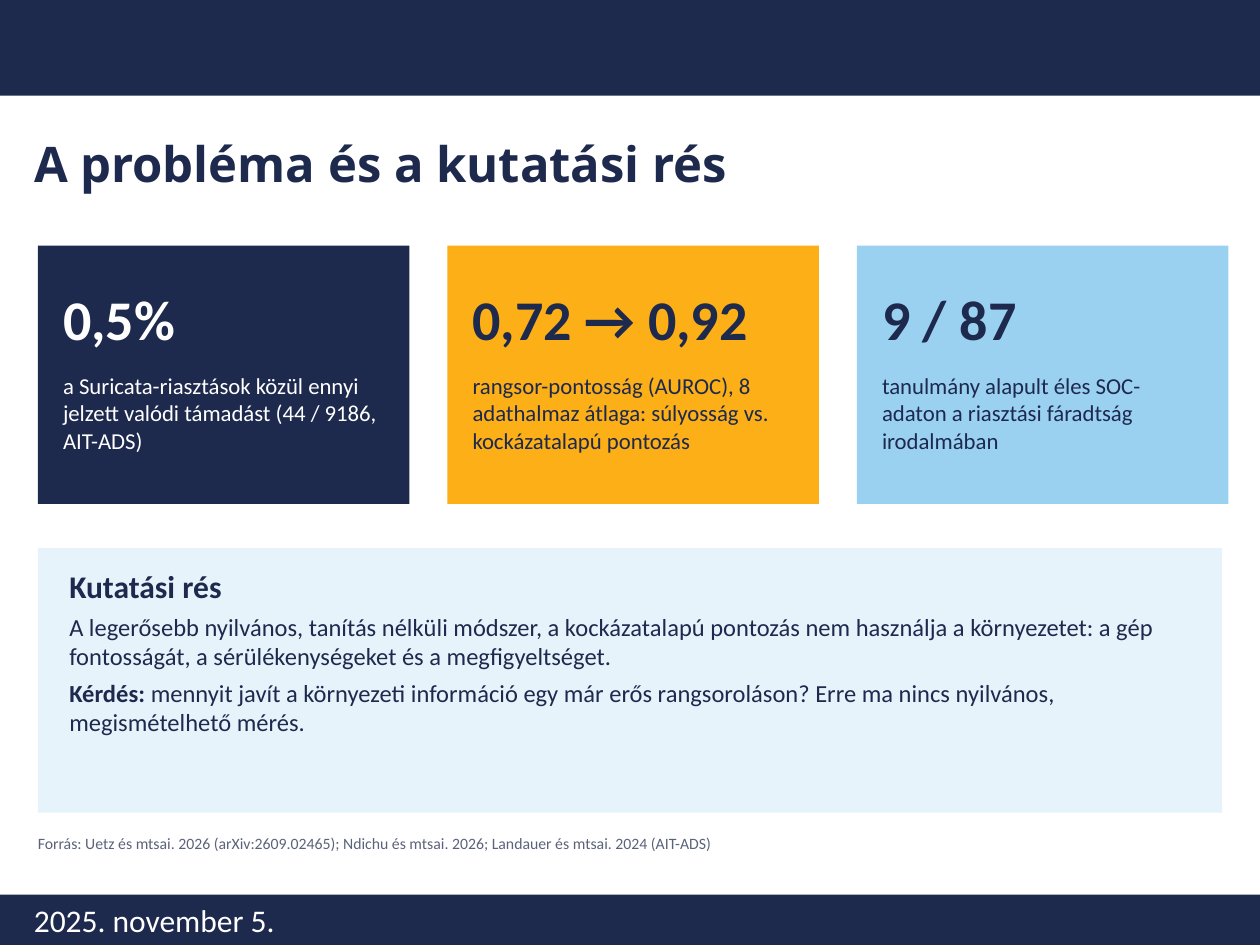
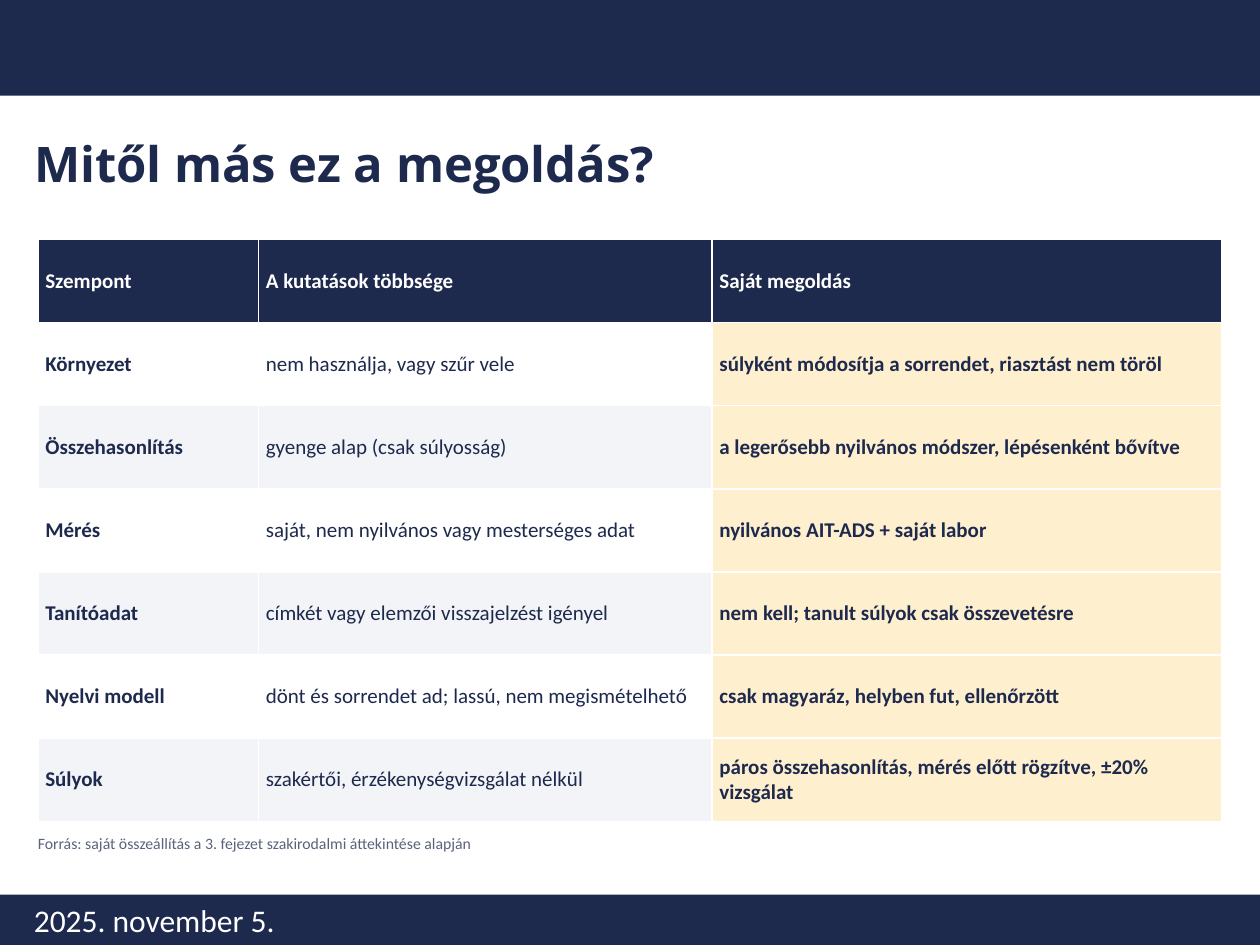
import pptx
import pptx.dml.color
import pptx.enum.shapes
import pptx.enum.text
import pptx.util

Inches = pptx.util.Inches
RGBColor = pptx.dml.color.RGBColor
ANCHOR = pptx.enum.text.MSO_ANCHOR

NAVY = RGBColor(0x1D, 0x29, 0x4D)
AMBER = RGBColor(0xFC, 0xAF, 0x17)
SKY = RGBColor(0x9A, 0xD1, 0xF0)
PALE_BLUE = RGBColor(0xE6, 0xF3, 0xFB)
PALE_AMBER = RGBColor(0xFE, 0xEF, 0xCF)
PALE_GREY = RGBColor(0xF3, 0xF4, 0xF7)
GREY = RGBColor(0x5A, 0x63, 0x7A)
WHITE = RGBColor(0xFF, 0xFF, 0xFF)

BODY_FONT = "Calibri"
TITLE_FONT = "Open Sans"
DATE = "2025. november 5."


def add_text(p, text, size=14, color=NAVY, bold=False, font=BODY_FONT):
    """Append one formatted run to a paragraph."""
    r = p.add_run()
    r.text = text
    r.font.name = font
    r.font.size = pptx.util.Pt(size)
    r.font.bold = bold
    r.font.color.rgb = color


class Deck:
    """Holds the shared style and the current slide."""

    def __init__(self):
        self.prs = pptx.Presentation()
        self.prs.slide_width = Inches(10)
        self.prs.slide_height = Inches(7.5)
        self.s = None

    def slide(self, title):
        self.s = self.prs.slides.add_slide(self.prs.slide_layouts[5])
        # Top band, footer band and date
        self.rect(0, 0, 10, 0.76, NAVY)
        self.rect(0, 7.1, 10, 0.4, NAVY)
        tf = self.textbox(0.17, 7.1, 2.25, 0.4, inset=(0.1, 0.05))
        add_text(tf.paragraphs[0], DATE, size=18, color=WHITE)
        # Title
        sp = self.s.shapes.title
        sp.left, sp.top = Inches(0.17), Inches(0.92)
        sp.width, sp.height = Inches(9.6), Inches(0.66)
        tf = sp.text_frame
        tf.auto_size = pptx.enum.text.MSO_AUTO_SIZE.NONE
        tf.vertical_anchor = ANCHOR.BOTTOM
        p = tf.paragraphs[0]
        p.alignment = pptx.enum.text.PP_ALIGN.LEFT
        p.line_spacing = 0.9
        add_text(p, title, size=28, bold=True, font=TITLE_FONT)

    def rect(self, x, y, w, h, fill):
        sp = self.s.shapes.add_shape(
            pptx.enum.shapes.MSO_SHAPE.RECTANGLE,
            Inches(x), Inches(y), Inches(w), Inches(h))
        sp.shadow.inherit = False
        sp.fill.solid()
        sp.fill.fore_color.rgb = fill
        sp.line.fill.background()

    def textbox(self, x, y, w, h, anchor=ANCHOR.TOP, inset=(0, 0)):
        sp = self.s.shapes.add_textbox(Inches(x), Inches(y), Inches(w), Inches(h))
        tf = sp.text_frame
        tf.word_wrap = True
        tf.vertical_anchor = anchor
        tf.margin_left = tf.margin_right = Inches(inset[0])
        tf.margin_top = tf.margin_bottom = Inches(inset[1])
        return tf

    def card(self, x, figure, caption, fill, color):
        self.rect(x, 1.95, 2.95, 2.05, fill)
        tf = self.textbox(x + 0.2, 2.15, 2.55, 0.75, anchor=ANCHOR.MIDDLE)
        add_text(tf.paragraphs[0], figure, size=32, color=color, bold=True)
        tf = self.textbox(x + 0.2, 2.95, 2.55, 0.95)
        add_text(tf.paragraphs[0], caption, size=13, color=color)

    def panel(self, heading, statement, label, question):
        self.rect(0.3, 4.35, 9.4, 2.1, PALE_BLUE)
        tf = self.textbox(0.55, 4.5, 8.9, 1.85)
        p = tf.paragraphs[0]
        p.space_after = pptx.util.Pt(4)
        add_text(p, heading, size=18, bold=True)
        p = tf.add_paragraph()
        p.space_after = pptx.util.Pt(4)
        add_text(p, statement)
        p = tf.add_paragraph()
        add_text(p, label, bold=True)
        add_text(p, question)

    def table(self, rows, widths, row_height):
        tbl = self.s.shapes.add_table(
            len(rows), len(widths), Inches(0.3), Inches(1.9),
            Inches(sum(widths)), Inches(row_height * len(rows))).table
        tbl.horz_banding = False
        for col, width in zip(tbl.columns, widths):
            col.width = Inches(width)
        for i, row in enumerate(rows):
            tbl.rows[i].height = Inches(row_height)
            for j, text in enumerate(row):
                if i == 0:
                    fill = NAVY
                elif j == len(row) - 1:
                    fill = PALE_AMBER
                else:
                    fill = WHITE if i % 2 else PALE_GREY
                cell = tbl.cell(i, j)
                cell.fill.solid()
                cell.fill.fore_color.rgb = fill
                cell.vertical_anchor = ANCHOR.MIDDLE
                cell.margin_left = cell.margin_right = Inches(0.06)
                cell.margin_top = cell.margin_bottom = Inches(0.03)
                add_text(cell.text_frame.paragraphs[0], text, size=12,
                         color=NAVY if i else WHITE, bold=i == 0 or j != 1)

    def source(self, text):
        tf = self.textbox(0.3, 6.62, 9.4, 0.28)
        add_text(tf.paragraphs[0], text, size=9, color=GREY)


def main():
    deck = Deck()

    # Slide 1: problem and research gap
    deck.slide("A probléma és a kutatási rés")
    cards = [
        ("0,5%", "a Suricata-riasztások közül ennyi jelzett valódi támadást "
         "(44 / 9186, AIT-ADS)", NAVY, WHITE),
        ("0,72 → 0,92", "rangsor-pontosság (AUROC), 8 adathalmaz átlaga: "
         "súlyosság vs. kockázatalapú pontozás", AMBER, NAVY),
        ("9 / 87", "tanulmány alapult éles SOC-adaton a riasztási fáradtság "
         "irodalmában", SKY, NAVY),
    ]
    for i, card in enumerate(cards):
        deck.card(0.3 + 3.25 * i, *card)
    deck.panel(
        "Kutatási rés",
        "A legerősebb nyilvános, tanítás nélküli módszer, a kockázatalapú "
        "pontozás nem használja a környezetet: a gép fontosságát, a "
        "sérülékenységeket és a megfigyeltséget.",
        "Kérdés: ",
        "mennyit javít a környezeti információ egy már erős rangsoroláson? "
        "Erre ma nincs nyilvános, megismételhető mérés.")
    deck.source("Forrás: Uetz és mtsai. 2026 (arXiv:2609.02465); Ndichu és "
                "mtsai. 2026; Landauer és mtsai. 2024 (AIT-ADS)")

    # Slide 2: comparison table
    deck.slide("Mitől más ez a megoldás?")
    deck.table([
        ("Szempont", "A kutatások többsége", "Saját megoldás"),
        ("Környezet", "nem használja, vagy szűr vele",
         "súlyként módosítja a sorrendet, riasztást nem töröl"),
        ("Összehasonlítás", "gyenge alap (csak súlyosság)",
         "a legerősebb nyilvános módszer, lépésenként bővítve"),
        ("Mérés", "saját, nem nyilvános vagy mesterséges adat",
         "nyilvános AIT-ADS + saját labor"),
        ("Tanítóadat", "címkét vagy elemzői visszajelzést igényel",
         "nem kell; tanult súlyok csak összevetésre"),
        ("Nyelvi modell", "dönt és sorrendet ad; lassú, nem megismételhető",
         "csak magyaráz, helyben fut, ellenőrzött"),
        ("Súlyok", "szakértői, érzékenységvizsgálat nélkül",
         "páros összehasonlítás, mérés előtt rögzítve, ±20% vizsgálat"),
    ], widths=(1.75, 3.6, 4.05), row_height=0.66)
    deck.source("Forrás: saját összeállítás a 3. fejezet szakirodalmi "
                "áttekintése alapján")

    deck.prs.save("out.pptx")


if __name__ == "__main__":
    main()
